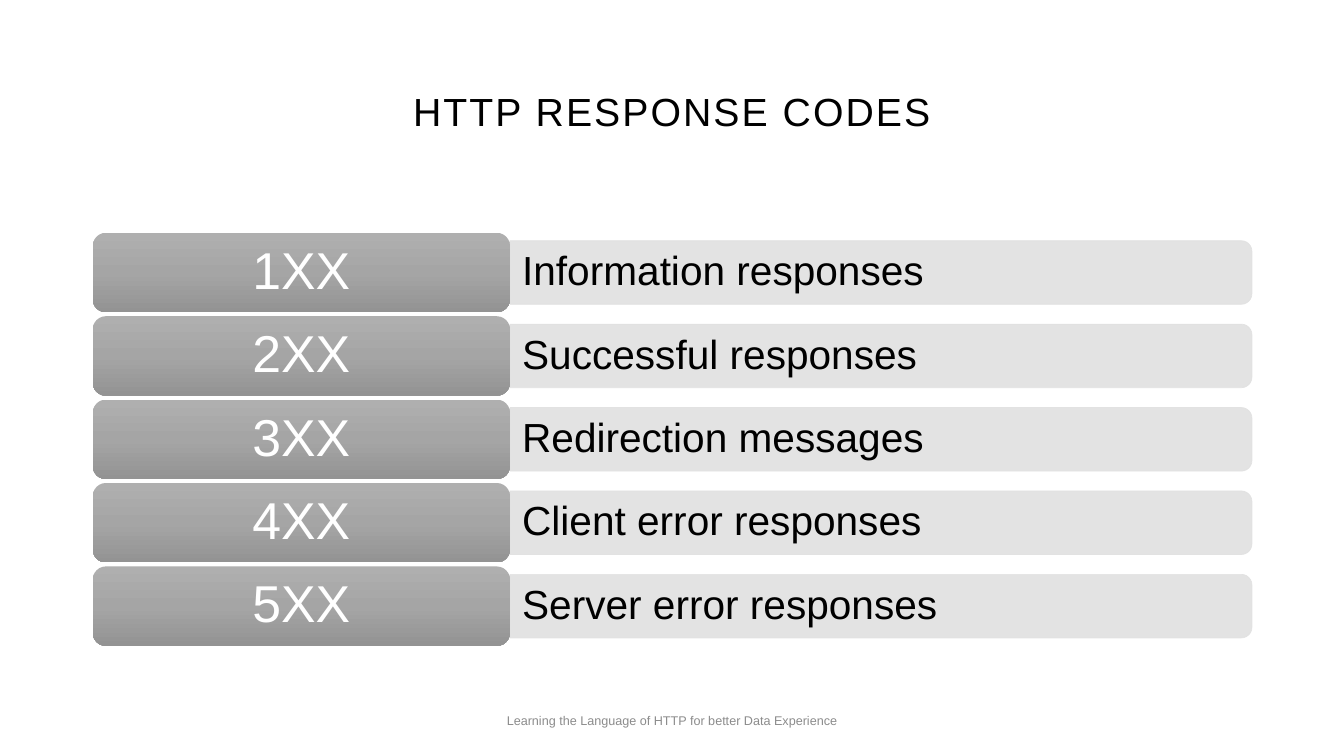
from copy import deepcopy

from lxml.etree import SubElement
from pptx import Presentation
from pptx.dml.color import RGBColor
from pptx.enum.shapes import MSO_SHAPE as Shape
from pptx.enum.text import MSO_ANCHOR as Anchor, PP_ALIGN as Align
from pptx.oxml.ns import qn
from pptx.util import Pt

COLORS = {
    "text": "000000",
    "code": "FFFFFF",
    "footer": "8C8C8C",
    "bar": "E1E1E1",
    "tile_top": "AFAFAF",
    "tile_middle": "A5A5A5",
    "tile_bottom": "939393",
}
RESPONSES = [
    ("1XX", "Information responses"),
    ("2XX", "Successful responses"),
    ("3XX", "Redirection messages"),
    ("4XX", "Client error responses"),
    ("5XX", "Server error responses"),
]

# Row layout in points
TILE_LEFT, TILE_TOP, TILE_WIDTH, TILE_HEIGHT = 66.24, 166.3, 298.1, 56.75
ROW_PITCH = 59.58
BAR_LEFT, BAR_WIDTH, BAR_HEIGHT = TILE_LEFT + TILE_WIDTH, 529.9, 45.4


class SlideBuilder:
    font = "Arial"

    def __init__(self, slide):
        self.slide = slide

    def color(self, name):
        return RGBColor.from_string(COLORS[name])

    def set_text(self, shape, text, size, color, align, inset, spacing=0.9, tracking=0):
        frame = shape.text_frame
        frame.word_wrap = True
        frame.vertical_anchor = Anchor.MIDDLE
        frame.margin_left = frame.margin_right = Pt(inset)
        frame.margin_top = frame.margin_bottom = Pt(inset / 2)
        paragraph = frame.paragraphs[0]
        run = paragraph.add_run()
        run.text = text
        paragraph.alignment = align
        paragraph.line_spacing = spacing
        paragraph.font.name = self.font
        paragraph.font.size = Pt(size)
        paragraph.font.color.rgb = self.color(color)
        if tracking:
            properties = run._r.get_or_add_rPr()
            properties.set("spc", str(int(tracking * 100)))

    def text(self, left, top, width, height, text, size, color="text",
             align=Align.CENTER, inset=7.2, **style):
        box = self.slide.shapes.add_textbox(Pt(left), Pt(top), Pt(width), Pt(height))
        self.set_text(box, text, size, color, align, inset, **style)

    def bar(self, left, middle, width, height):
        """A bar with its right-hand corners rounded."""
        center = left + width / 2
        shape = self.slide.shapes.add_shape(
            Shape.ROUND_2_SAME_RECTANGLE, Pt(center - height / 2),
            Pt(middle - width / 2), Pt(height), Pt(width))
        shape.rotation = 90
        shape.shadow.inherit = False
        shape.fill.solid()
        shape.fill.fore_color.rgb = self.color("bar")
        shape.line.color.rgb = self.color("bar")
        shape.line.width = Pt(0.5)
        for color in shape.element.spPr.iter(qn("a:srgbClr")):
            SubElement(color, qn("a:alpha"), val="90000")

    def tile(self, left, top, width, height, text):
        shape = self.slide.shapes.add_shape(
            Shape.ROUNDED_RECTANGLE, Pt(left), Pt(top), Pt(width), Pt(height))
        shape.shadow.inherit = False
        shape.line.fill.background()
        shape.fill.gradient()
        shape.fill.gradient_angle = 270
        # Add a middle stop to the two default ones
        stop_list = shape.element.spPr.find(".//" + qn("a:gsLst"))
        stop_list.insert(1, deepcopy(stop_list[0]))
        names = ("tile_top", "tile_middle", "tile_bottom")
        for index, (stop, name) in enumerate(zip(shape.fill.gradient_stops, names)):
            stop.position = index / 2
            stop.color.rgb = self.color(name)
        self.set_text(shape, text, 37, "code", Align.CENTER, 11)


def main():
    presentation = Presentation()
    presentation.slide_width, presentation.slide_height = Pt(960), Pt(540)
    builder = SlideBuilder(presentation.slides.add_slide(presentation.slide_layouts[6]))

    # Title
    builder.text(66, 28.8, 828, 104.4, "HTTP RESPONSE CODES", 28, tracking=1.5)

    # Response classes
    for row, (code, meaning) in enumerate(RESPONSES):
        top = TILE_TOP + row * ROW_PITCH
        middle = top + TILE_HEIGHT / 2
        builder.bar(BAR_LEFT, middle, BAR_WIDTH, BAR_HEIGHT)
        builder.text(BAR_LEFT, middle - 20.5, 527.8, 41, meaning, 29,
                     align=Align.LEFT, inset=8.64)
        builder.tile(TILE_LEFT, top, TILE_WIDTH, TILE_HEIGHT, code)

    # Footer
    builder.text(318, 500.5, 324, 28.75,
                 "Learning the Language of HTTP for better Data Experience",
                 9, "footer", spacing=1.0)

    presentation.save("out.pptx")


if __name__ == "__main__":
    main()
